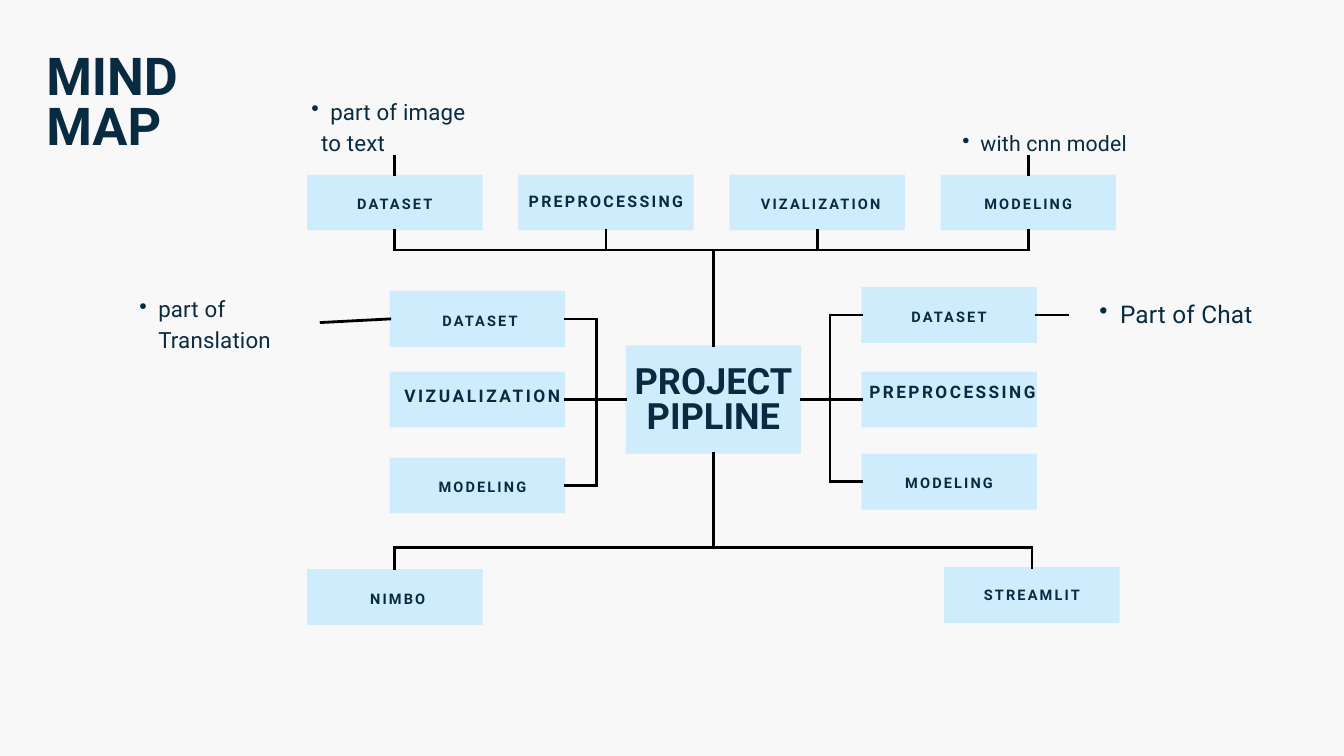
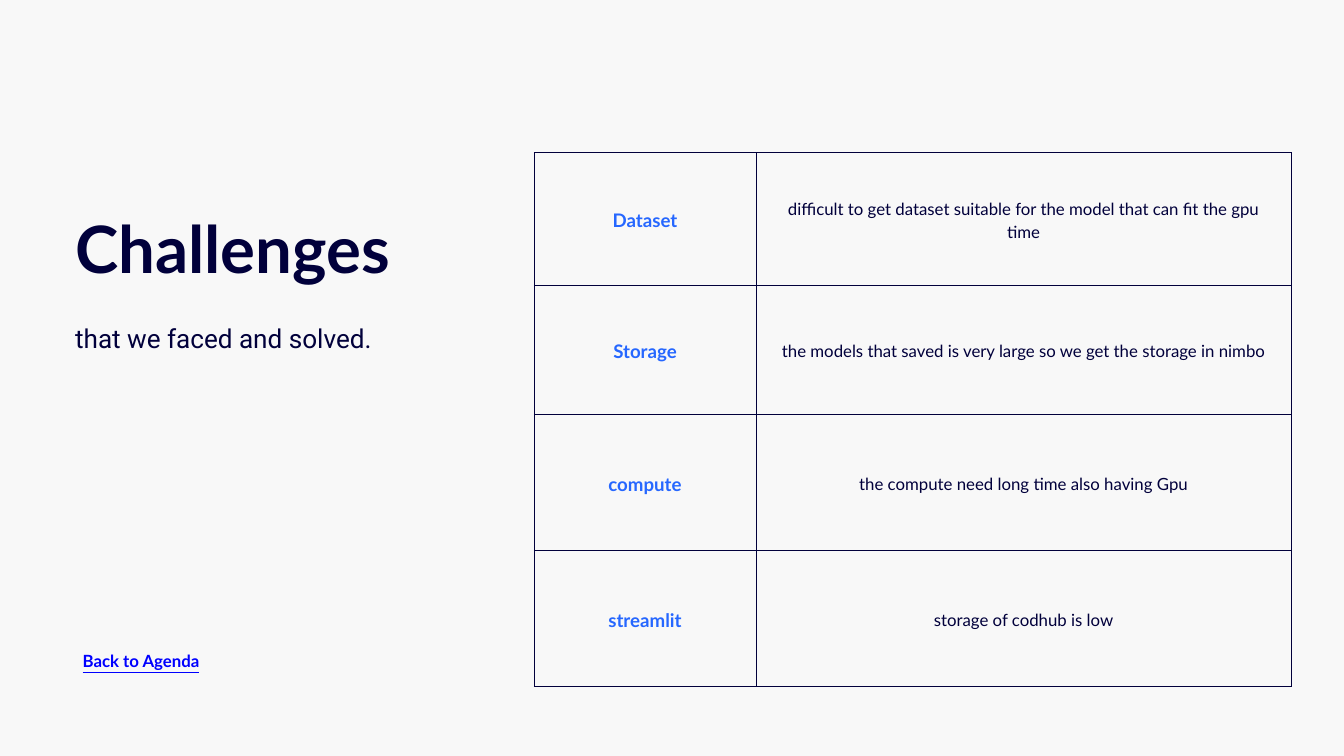
from lxml.etree import SubElement
from pptx import Presentation
from pptx.dml.color import RGBColor
from pptx.enum.shapes import MSO_CONNECTOR, MSO_SHAPE
from pptx.enum.text import MSO_ANCHOR, MSO_AUTO_SIZE, PP_ALIGN
from pptx.oxml.ns import qn
from pptx.util import Cm, Pt

COLORS = {
    "page": "F8F8F8",
    "box": "CFECFD",
    "line": "000000",
    "map_text": "082B42",
    "navy": "01003B",
    "accent": "2667FF",
    "link": "0000FF",
}
BOX_W, BOX_H = 6.63, 2.11
TRACKING = 0.147  # letter spacing of box labels, as a share of the font size


def rgb(name):
    return RGBColor.from_string(COLORS[name])


def style(tf, size, color, font="Roboto", bold=False, align=PP_ALIGN.LEFT,
          leading=1.4, spacing=0, underline=None):
    """Format every paragraph; leading is a multiple of the font size."""
    for p in tf.paragraphs:
        p.alignment = align
        p.line_spacing = Pt(size * leading)
        for r in p.runs:
            r.font.size = Pt(size)
            r.font.name = font
            r.font.bold = bold
            r.font.underline = underline
            r.font.color.rgb = rgb(color)
            if spacing:
                r._r.get_or_add_rPr().set("spc", str(round(spacing * 100)))


def set_margins(frame, left=0, top=0, right=0, bottom=0):
    frame.margin_left, frame.margin_top = Cm(left), Cm(top)
    frame.margin_right, frame.margin_bottom = Cm(right), Cm(bottom)


def add_slide(prs, title, place, **look):
    s = prs.slides.add_slide(prs.slide_layouts[5])
    sp = s.shapes.title
    sp.left, sp.top, sp.width, sp.height = map(Cm, place)
    tf = sp.text_frame
    tf.text = title
    tf.word_wrap = True
    tf.auto_size = MSO_AUTO_SIZE.NONE
    tf.vertical_anchor = MSO_ANCHOR.TOP
    set_margins(tf)
    style(tf, bold=True, **look)
    return s


def add_text(s, text, place, **look):
    tf = s.shapes.add_textbox(*map(Cm, place)).text_frame
    tf.text = text
    tf.word_wrap = True
    set_margins(tf)
    style(tf, **look)
    return tf


def add_box(s, left, top, text, size=15.6, dx=0, dy=0, height=BOX_H,
            leading=1.4, spacing=TRACKING):
    """Filled box whose label sits dx, dy away from the centre."""
    sp = s.shapes.add_shape(MSO_SHAPE.RECTANGLE, Cm(left), Cm(top),
                            Cm(BOX_W), Cm(height))
    sp.shadow.inherit = False
    sp.fill.solid()
    sp.fill.fore_color.rgb = rgb("box")
    sp.line.fill.background()
    tf = sp.text_frame
    tf.text = text
    tf.word_wrap = False
    tf.vertical_anchor = MSO_ANCHOR.MIDDLE
    set_margins(tf, left=2 * dx, top=max(2 * dy, 0), bottom=max(-2 * dy, 0))
    style(tf, size, "map_text", bold=True, align=PP_ALIGN.CENTER,
          leading=leading, spacing=size * spacing)
    return sp


def add_line(s, start, end):
    c = s.shapes.add_connector(MSO_CONNECTOR.STRAIGHT, *start, *end)
    c.line.color.rgb = rgb("line")
    c.line.width = Pt(3)
    spPr = c._element.spPr
    spPr.find(qn("a:ln")).set("cap", "sq")
    SubElement(spPr, qn("a:effectLst"))
    return c


def add_branch(s, box, side, reach):
    """Line from the middle of a side straight to the coordinate reach."""
    if side in (0, 2):
        end = (box.left + box.width // 2, Cm(reach))
    else:
        end = (Cm(reach), box.top + box.height // 2)
    add_line(s, end, end).begin_connect(box, side)
    return end


def add_bracket(s, boxes, side, reach):
    """Branches from all boxes, tied together by one bar."""
    ends = [add_branch(s, box, side, reach) for box in boxes]
    add_line(s, ends[0], ends[-1])


def add_note(s, left, top, size, lines):
    """Bulleted first line; further lines are indented without a bullet."""
    tf = add_text(s, "\n".join(lines), (left, top, 7.62, 2.29), size=size,
                  color="map_text", spacing=0.2)
    for i, p in enumerate(tf.paragraphs):
        pPr = p._p.get_or_add_pPr()
        if i:
            pPr.set("marL", str(Cm(1.09)))
        else:
            indent = Cm(size * 0.03)
            pPr.set("marL", str(2 * indent))
            pPr.set("indent", str(-indent))
            SubElement(pPr, qn("a:buChar"), char="•")


def add_borders(cell):
    tcPr = cell._tc.get_or_add_tcPr()
    for side in ("lnL", "lnR", "lnT", "lnB"):
        ln = SubElement(tcPr, qn(f"a:{side}"), w=str(Pt(0.75)))
        fill = SubElement(ln, qn("a:solidFill"))
        SubElement(fill, qn("a:srgbClr"), val=COLORS["navy"])


def add_challenge_table(s, rows, left, top, widths, heights):
    table = s.shapes.add_table(len(rows), len(widths), Cm(left), Cm(top),
                               Cm(sum(widths)), Cm(sum(heights))).table
    table.first_row = table.horz_banding = False
    for column, width in zip(table.columns, widths):
        column.width = Cm(width)
    for i, (texts, height) in enumerate(zip(rows, heights)):
        table.rows[i].height = Cm(height)
        for j, text in enumerate(texts):
            cell = table.cell(i, j)
            cell.text = text
            cell.vertical_anchor = MSO_ANCHOR.MIDDLE
            set_margins(cell, 0.53, 0.53, 0.53, 0.53)
            add_borders(cell)
            size, color = (18, "navy") if j else (20, "accent")
            style(cell.text_frame, size, color, font="Lato", bold=j == 0,
                  align=PP_ALIGN.CENTER)
            if j:
                cell.fill.background()
            else:
                cell.fill.solid()
                cell.fill.fore_color.rgb = rgb("page")


def build_mind_map(prs):
    s = add_slide(prs, "MIND MAP", (1.75, 2.13, 6.25, 3.89), size=55.9,
                  color="map_text", leading=0.95)
    hub = add_box(s, 23.65, 13.06, "PROJECT\nPIPLINE", 38.8, dy=0.1,
                  height=4.09, leading=0.95, spacing=0)

    image_steps = [("DATASET",), ("PREPROCESSING", 17.1, 0, -0.12),
                   ("VIZALIZATION", 15.6, 0.14), ("MODELING",)]
    top = [add_box(s, 11.61 + 7.98 * i, 6.6, *step)
           for i, step in enumerate(image_steps)]
    left = [add_box(s, 14.73, y, *step) for y, step in (
        (11, ("DATASET", 15.6, 0.1)),
        (14.05, ("VIZUALIZATION", 18.6, 0.19, -0.21)),
        (17.3, ("MODELING", 15.6, 0.19)))]
    right = [add_box(s, 32.56, y, *step) for y, step in (
        (10.85, ("DATASET",)),
        (14.05, ("PREPROCESSING", 18.4, 0.13, -0.35)),
        (17.15, ("MODELING",)))]
    bottom = [add_box(s, 11.61, 21.51, "NIMBO", dx=0.11),
              add_box(s, 35.69, 21.44, "STREAMLIT", dy=-0.06)]

    add_bracket(s, top, 2, 9.45)
    add_bracket(s, bottom, 0, 20.68)
    add_bracket(s, left[::2], 3, 22.56)
    add_bracket(s, right[::2], 1, 31.37)
    add_branch(s, hub, 0, 9.45)
    add_branch(s, hub, 2, 20.68)
    for hub_side, box, box_side in ((1, left[1], 3), (3, right[1], 1)):
        c = add_line(s, (0, 0), (0, 0))
        c.begin_connect(hub, hub_side)
        c.end_connect(box, box_side)

    add_branch(s, top[0], 0, 5.92)
    add_branch(s, top[-1], 0, 5.92)
    add_branch(s, right[0], 3, 40.36)
    note_end = (Cm(12.14), Cm(12.19))
    add_line(s, note_end, note_end).begin_connect(left[0], 1)

    add_note(s, 11.05, 3.53, 23.9, ["part of image", "to text"])
    add_note(s, 35.69, 4.78, 22.8, ["with cnn model"])
    add_note(s, 40.77, 11.13, 26.1, ["Part of Chat"])
    add_note(s, 4.55, 11, 23.9, ["part of Translation"])


def build_challenges(prs):
    s = add_slide(prs, "Challenges", (2.84, 7.87, 13.82, 2.97), size=70,
                  color="navy", font="Lato", leading=1.2)
    add_text(s, "that we faced and solved.", (2.84, 11.99, 12.52, 1.3),
             size=28, color="navy")
    rows = [
        ("Dataset", "difficult to get dataset suitable for the model "
                    "that can fit the gpu time"),
        ("Storage", "the models that saved is very large so we get "
                    "the storage in nimbo"),
        ("compute", "the compute need long time also having Gpu"),
        ("streamlit", "storage of codhub is low"),
    ]
    add_challenge_table(s, rows, 20.19, 5.77, widths=(8.38, 20.24),
                        heights=(5, 4.9, 5.13, 5.13))
    add_text(s, "Back to Agenda", (2.03, 24.54, 5.51, 0.79), size=18,
             color="link", font="Lato", bold=True, align=PP_ALIGN.RIGHT,
             leading=1.3, underline=True)


def main():
    prs = Presentation()
    prs.slide_width = Cm(50.8)
    prs.slide_height = prs.slide_width * 9 // 16
    fill = prs.slide_master.background.fill
    fill.solid()
    fill.fore_color.rgb = rgb("page")
    build_mind_map(prs)
    build_challenges(prs)
    prs.save("out.pptx")


if __name__ == "__main__":
    main()
